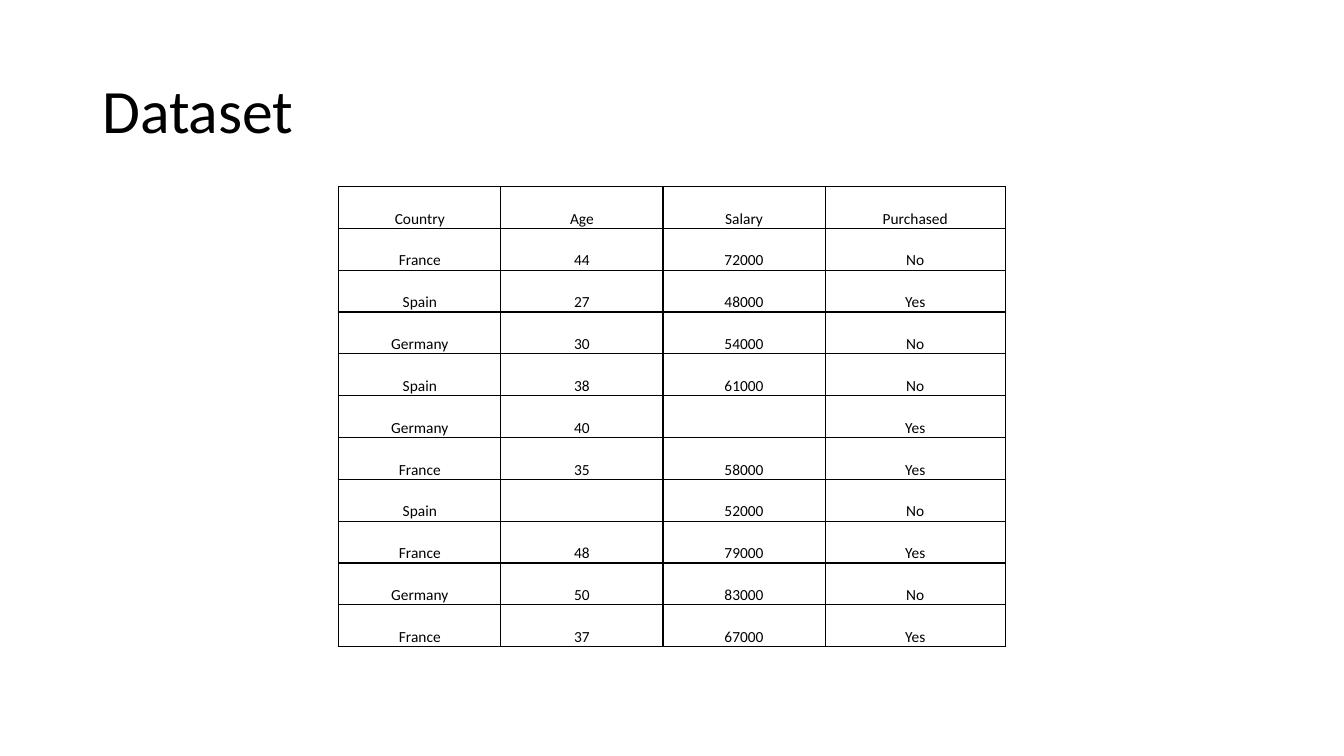
from lxml.etree import SubElement
from pptx import Presentation
from pptx.dml.color import RGBColor
from pptx.enum.text import MSO_ANCHOR, PP_ALIGN
from pptx.oxml.ns import qn
from pptx.util import Pt

# Content
TITLE = "Dataset"
ROWS = [
    ("Country", "Age", "Salary", "Purchased"),
    ("France", "44", "72000", "No"),
    ("Spain", "27", "48000", "Yes"),
    ("Germany", "30", "54000", "No"),
    ("Spain", "38", "61000", "No"),
    ("Germany", "40", "", "Yes"),
    ("France", "35", "58000", "Yes"),
    ("Spain", "", "52000", "No"),
    ("France", "48", "79000", "Yes"),
    ("Germany", "50", "83000", "No"),
    ("France", "37", "67000", "Yes"),
]

# Format
COLORS = {"ink": "000000", "paper": "FFFFFF"}
FONT = "Calibri"
LEFT, TOP = 242, 133.2
WIDTHS = (115.8, 115.8, 115.8, 128.8)
HEIGHT = 29.9


def write(frame, text, size, align=PP_ALIGN.LEFT, space=1.0):
    para = frame.paragraphs[0]
    para.alignment = align
    para.line_spacing = space
    para.font.size = Pt(size)
    if not text:
        return
    run = para.add_run()
    run.text = text
    run.font.size = Pt(size)
    run.font.name = FONT
    run.font.color.rgb = RGBColor.from_string(COLORS["ink"])


def border(cell, width=1):
    props = cell._tc.get_or_add_tcPr()
    for side in ("lnL", "lnR", "lnT", "lnB"):
        line = SubElement(props, qn("a:" + side), w=str(Pt(width)))
        fill = SubElement(line, qn("a:solidFill"))
        SubElement(fill, qn("a:srgbClr"), val=COLORS["ink"])


deck = Presentation()
deck.slide_width, deck.slide_height = Pt(960), Pt(540)
slide = deck.slides.add_slide(deck.slide_layouts[6])

# Title
box = slide.shapes.add_textbox(Pt(66), Pt(28.8), Pt(828), Pt(104.4))
box.text_frame.word_wrap = True
box.text_frame.vertical_anchor = MSO_ANCHOR.MIDDLE
write(box.text_frame, TITLE, 44, space=0.9)

# Table
table = slide.shapes.add_table(
    len(ROWS), len(WIDTHS), Pt(LEFT), Pt(TOP),
    Pt(sum(WIDTHS)), Pt(HEIGHT * len(ROWS))).table
table.first_row = table.horz_banding = False
for col, width in zip(table.columns, WIDTHS):
    col.width = Pt(width)
for row, texts in zip(table.rows, ROWS):
    row.height = Pt(HEIGHT)
    for cell, text in zip(row.cells, texts):
        cell.vertical_anchor = MSO_ANCHOR.BOTTOM
        cell.margin_left = cell.margin_right = cell.margin_top = Pt(0.7)
        cell.margin_bottom = Pt(0)
        border(cell)
        cell.fill.solid()
        cell.fill.fore_color.rgb = RGBColor.from_string(COLORS["paper"])
        write(cell.text_frame, text, 11, align=PP_ALIGN.CENTER)

deck.save("out.pptx")
